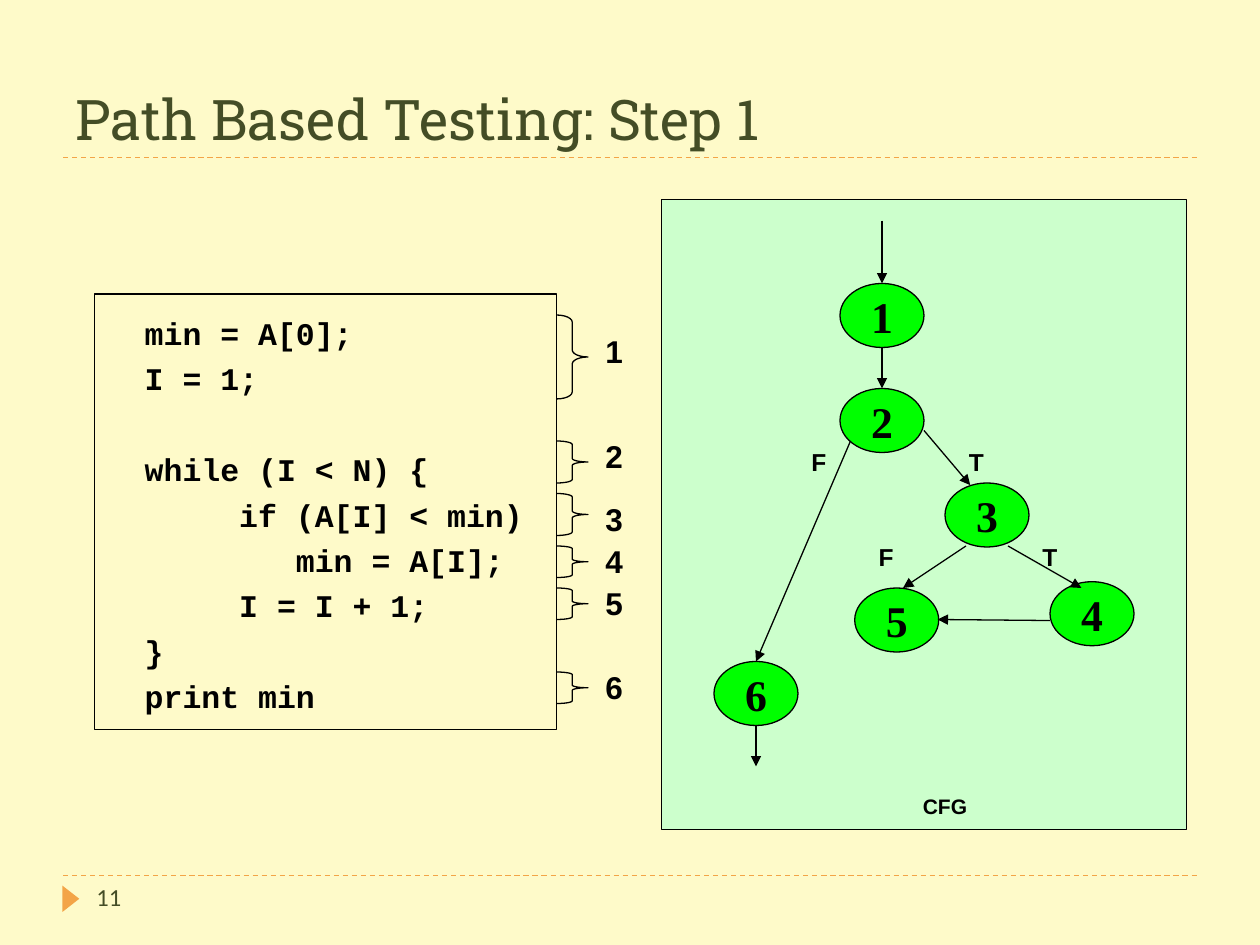
from lxml.etree import SubElement
from pptx import Presentation
from pptx.dml.color import RGBColor
from pptx.enum.dml import MSO_LINE
from pptx.enum.shapes import MSO_CONNECTOR, MSO_SHAPE
from pptx.enum.text import MSO_ANCHOR, PP_ALIGN
from pptx.oxml.ns import qn
from pptx.util import Inches, Pt

COLS, ROWS = 120, 90
WIDE, HIGH = Inches(10), Inches(7.5)
INK, OLIVE, GOLD = "000000", "444D26", "F3A447"

CODE = [
    "  min = A[0];",
    "  I = 1;",
    "  while (I < N) {",
    "       if (A[I] < min)",
    "          min = A[I];",
    "       I = I + 1;",
    "  }",
    "  print min",
]
BRACES = [(30, 8, 31), (42, 4, 41), (47, 4, 47), (52, 3, 51), (56, 3, 55), (64, 3, 63)]
NODES = [(80, 27), (80, 37), (90, 46), (100, 55.4), (81.4, 56), (68, 63)]
EDGES = [
    (84, 21, 84, 27),
    (84, 33, 84, 37),
    (88, 41, 92.4, 46.2),
    (92, 52, 86, 56),
    (96, 52, 103, 56),
    (81, 42, 72, 63),
    (72, 69, 72, 73),
    (100, 59.1, 89.3, 59),
]
TAGS = [("T", 90, 42), ("F", 75, 42), ("T", 97, 51), ("F", 81.4, 51)]


def color(code):
    """Turn a hex string into a colour."""
    return RGBColor.from_string(code)


def grid(x, y, w, h):
    """Turn columns and rows into slide lengths."""
    return [int(n * side / cells) for n, side, cells in
            ((x, WIDE, COLS), (y, HIGH, ROWS), (w, WIDE, COLS), (h, HIGH, ROWS))]


def style(frame, size, font, ink=INK, bold=True, align=PP_ALIGN.CENTER):
    """Format every paragraph and run of a text frame."""
    for para in frame.paragraphs:
        para.alignment = align
        for run in para.runs:
            run.font.size = Pt(size)
            run.font.name = font
            run.font.bold = bold
            run.font.color.rgb = color(ink)


def label(slide, text, box, size, font="Arial", anchor=MSO_ANCHOR.TOP, **look):
    """Add a wrapped text box."""
    frame = slide.shapes.add_textbox(*grid(*box)).text_frame
    frame.word_wrap = True
    frame.vertical_anchor = anchor
    frame.text = text
    style(frame, size, font, **look)


def shape(slide, kind, box, fill=None, line=INK, width=0.75):
    """Add a flat shape with optional fill and line."""
    item = slide.shapes.add_shape(kind, *grid(*box))
    item.shadow.inherit = False
    if fill:
        item.fill.solid()
        item.fill.fore_color.rgb = color(fill)
    else:
        item.fill.background()
    if line:
        item.line.color.rgb = color(line)
        item.line.width = Pt(width)
    else:
        item.line.fill.background()
    return item


def link(slide, x, y, end_x, end_y, ink=INK):
    """Add a thin straight line without shadow."""
    ends = grid(x, y, end_x, end_y)
    item = slide.shapes.add_connector(MSO_CONNECTOR.STRAIGHT, *ends)
    item.line.color.rgb = color(ink)
    item.line.width = Pt(0.75)
    SubElement(item.element.spPr, qn("a:effectLst"))
    return item


def arrow(slide, *ends):
    """Add a line with a triangle at its end."""
    line = link(slide, *ends).line
    SubElement(line.fill._xPr, qn("a:tailEnd"), type="triangle")


def rule(slide, row):
    """Add a dashed line across the slide."""
    link(slide, 6, row, 114, row, GOLD).line.dash_style = MSO_LINE.DASH


def listing(slide):
    """Add the framed code."""
    frame = shape(slide, MSO_SHAPE.RECTANGLE, (9, 28, 44, 41.5)).text_frame
    frame.margin_top = frame.margin_bottom = Inches(0.1)
    frame.vertical_anchor = MSO_ANCHOR.TOP
    frame.word_wrap = True
    frame.text = "\n".join(CODE)
    style(frame, 18, "Courier New", align=PP_ALIGN.LEFT)
    for para in frame.paragraphs:
        para.line_spacing = 1.2
    frame.paragraphs[2].space_before = Pt(26)


def brace(slide, name, top, tall, row):
    """Add a brace and its number beside the code."""
    item = shape(slide, MSO_SHAPE.RIGHT_BRACE, (53, top, 3, tall))
    item.adjustments[0] = tall / 36
    label(slide, name, (56, row, 5, 4.8), 18)


def node(slide, name, x, y):
    """Add a numbered graph node."""
    frame = shape(slide, MSO_SHAPE.OVAL, (x, y, 8, 6.1), "00FF00").text_frame
    frame.word_wrap = False
    frame.vertical_anchor = MSO_ANCHOR.MIDDLE
    frame.text = name
    style(frame, 25, "Times New Roman")


def graph(slide):
    """Add the control flow graph."""
    shape(slide, MSO_SHAPE.RECTANGLE, (63, 19, 50, 60), "CCFFCC", width=1)
    label(slide, "CFG", (86, 75, 8, 3.6), 12)
    for num, spot in enumerate(NODES, 1):
        node(slide, str(num), *spot)
    for ends in EDGES:
        arrow(slide, *ends)
    for text, x, y in TAGS:
        label(slide, text, (x, y, 6, 4), 14)


def main():
    """Build and save the slide."""
    deck = Presentation()
    deck.slide_width, deck.slide_height = WIDE, HIGH
    slide = deck.slides.add_slide(deck.slide_layouts[6])
    slide.background.fill.solid()
    slide.background.fill.fore_color.rgb = color("FEFAC9")
    rule(slide, 83.4)
    rule(slide, 15)
    mark = shape(slide, MSO_SHAPE.ISOSCELES_TRIANGLE, (5.5, 84.8, 2.5, 1.6), GOLD, None)
    mark.rotation = 90
    plain = {"ink": OLIVE, "bold": False, "align": PP_ALIGN.LEFT}
    label(slide, "Path Based Testing: Step 1", (6, 2, 108, 13), 32,
          "Roboto Slab", MSO_ANCHOR.BOTTOM, **plain)
    listing(slide)
    for num, spot in enumerate(BRACES, 1):
        brace(slide, str(num), *spot)
    graph(slide)
    label(slide, "11", (8, 83.4, 26, 4.8), 14, "Calibri", **plain)
    deck.save("out.pptx")


if __name__ == "__main__":
    main()
